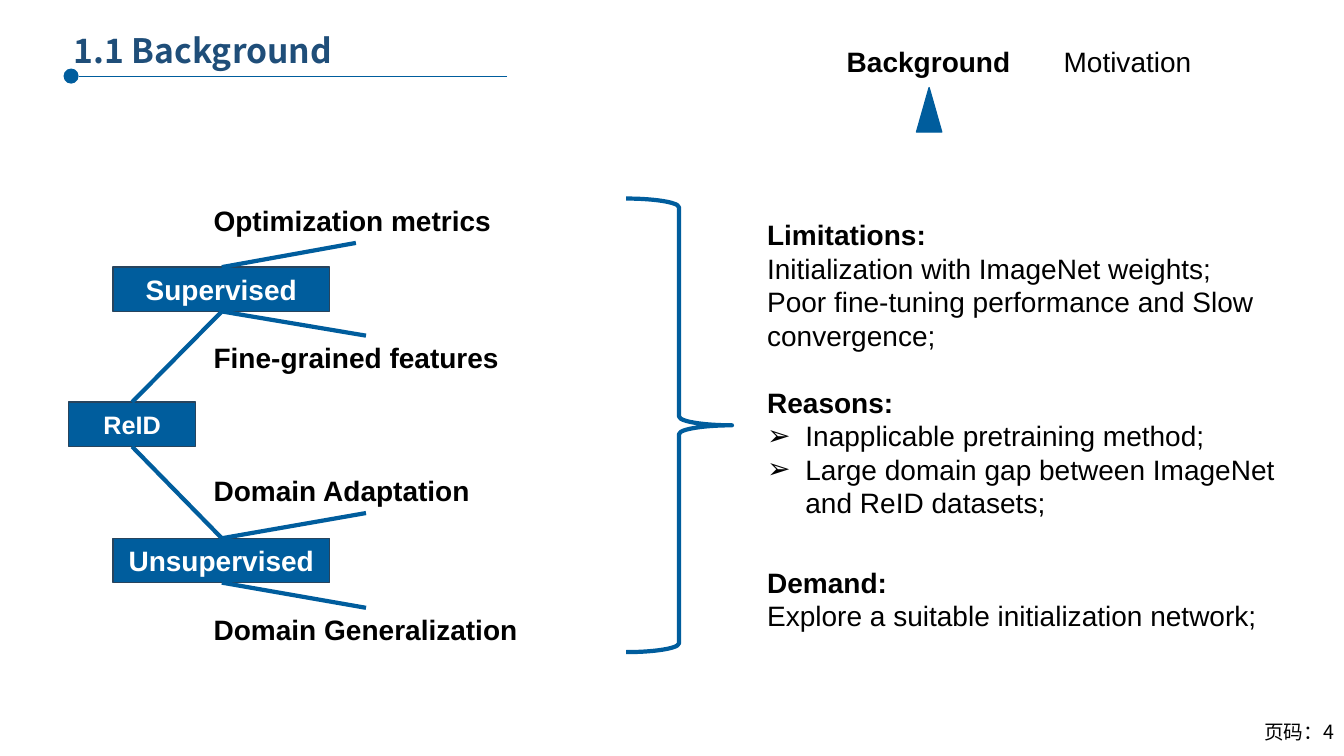
from dataclasses import dataclass

from lxml import etree
from pptx import Presentation
from pptx.dml.color import RGBColor
from pptx.enum.shapes import MSO_CONNECTOR, MSO_SHAPE
from pptx.enum.text import MSO_ANCHOR, PP_ALIGN
from pptx.oxml.ns import qn
from pptx.util import Inches, Pt

STRAIGHT = MSO_CONNECTOR.STRAIGHT
RECTANGLE, OVAL = MSO_SHAPE.RECTANGLE, MSO_SHAPE.OVAL
TRIANGLE, RIGHT_BRACE = MSO_SHAPE.ISOSCELES_TRIANGLE, MSO_SHAPE.RIGHT_BRACE
LEFT, CENTER, RIGHT = PP_ALIGN.LEFT, PP_ALIGN.CENTER, PP_ALIGN.RIGHT
TOP, MIDDLE = MSO_ANCHOR.TOP, MSO_ANCHOR.MIDDLE


@dataclass(frozen=True)
class Theme:
    blue: str = "005D9D"
    border: str = "28445D"
    heading: str = "1F4E79"
    black: str = "000000"
    white: str = "FFFFFF"
    latin: str = "Arial"
    cjk: str = "Noto Sans CJK SC"
    title_size: float = 24
    body_size: float = 20
    root_size: float = 18
    footer_size: float = 14
    rule: float = 0.25
    outline: float = 1
    stroke: float = 3


THEME = Theme()


class SlideBuilder:
    def __init__(self, slide, theme):
        self.slide = slide
        self.theme = theme

    def shape(self, preset, box, fill=None, line=None, width=THEME.outline):
        shape = self.slide.shapes.add_shape(preset, *map(Inches, box))
        shape.shadow.inherit = False
        if fill:
            shape.fill.solid()
            shape.fill.fore_color.rgb = RGBColor.from_string(fill)
        else:
            shape.fill.background()
        if line:
            shape.line.color.rgb = RGBColor.from_string(line)
            shape.line.width = Pt(width)
        else:
            shape.line.fill.background()
        return shape

    def line(self, start, end, width=THEME.stroke):
        connector = self.slide.shapes.add_connector(
            STRAIGHT, *map(Inches, (*start, *end)))
        connector.line.color.rgb = RGBColor.from_string(self.theme.blue)
        connector.line.width = Pt(width)
        etree.SubElement(connector._element.spPr, qn("a:effectLst"))

    def add_words(self, paragraph, text, align=LEFT, **style):
        theme = self.theme
        paragraph.alignment = align
        run = paragraph.add_run()
        run.text = text
        color = style.pop("color", theme.black)
        formats = {"name": theme.latin, "size": theme.body_size,
                   "bold": False, **style}
        formats["size"] = Pt(formats["size"])
        for attribute, value in formats.items():
            setattr(run.font, attribute, value)
        run.font.color.rgb = RGBColor.from_string(color)
        east_asian = etree.SubElement(run.font._element, qn("a:ea"))
        east_asian.set("typeface", formats["name"])

    def text(self, box, text, wrap=True, **style):
        frame = self.slide.shapes.add_textbox(*map(Inches, box)).text_frame
        frame.word_wrap = wrap
        frame.vertical_anchor = TOP
        self.add_words(frame.paragraphs[0], text, **style)
        return frame

    def node(self, box, label, size=THEME.body_size):
        theme = self.theme
        frame = self.shape(RECTANGLE, box, theme.blue, theme.border).text_frame
        frame.vertical_anchor = MIDDLE
        frame.word_wrap = False
        self.add_words(frame.paragraphs[0], label, CENTER,
                       size=size, bold=True, color=theme.white)

    def section(self, box, heading, statements, bulleted=False):
        frame = self.text(box, heading, bold=True)
        for statement in statements:
            paragraph = frame.add_paragraph()
            self.add_words(paragraph, statement)
            if bulleted:
                self.bullet(paragraph)

    def bullet(self, paragraph, indent=0.38):
        properties = paragraph._p.get_or_add_pPr()
        properties.set("marL", str(Inches(indent)))
        properties.set("indent", str(-Inches(indent)))
        etree.SubElement(properties, qn("a:buFont")).set("typeface", "Arial")
        etree.SubElement(properties, qn("a:buChar")).set("char", "➢")


NODE_HEIGHT = 0.44
ROOT_TOP, ROOT_CENTER = 3.99, 1.31
BRANCH_LEFT, BRANCH_WIDTH = 1.12, 2.15
BRANCH_CENTER = 2.2
LABEL_LEFT, LABEL_WIDTH = 2.02, 3.22

# Branch name, its top, and (label, label top, line end) above and below it
BRANCHES = [
    ("Supervised", 2.65,
     ("Optimization metrics", 1.97, (3.53, 2.41)),
     ("Fine-grained features", 3.33, (3.63, 3.33))),
    ("Unsupervised", 5.34,
     ("Domain Adaptation", 4.65, (3.63, 5.09)),
     ("Domain Generalization", 6.03, (3.63, 6.03))),
]

TABS = [("Background", 8.3, 1.84, True), ("Motivation", 10.45, 1.48, False)]

SECTIONS = [
    (2.11, 1.45, "Limitations:",
     ["Initialization with ImageNet weights;",
      "Poor fine-tuning performance and Slow convergence;"], False),
    (3.77, 1.45, "Reasons:",
     ["Inapplicable pretraining method;",
      "Large domain gap between ImageNet and ReID datasets;"], True),
    (5.56, 0.77, "Demand:",
     ["Explore a suitable initialization network;"], False),
]


def add_header(builder):
    theme = builder.theme
    builder.line((5.03, 0.76), (0.78, 0.76), theme.rule)
    builder.shape(OVAL, (0.63, 0.68, 0.15, 0.15), theme.blue)
    title = builder.text((0.63, 0.34, 4.97, 0.41), "1.1 Background",
                         name=theme.cjk, size=theme.title_size,
                         bold=True, color=theme.heading)
    title.margin_top = title.margin_bottom = 0
    title.paragraphs[0].line_spacing = 0.9
    for tab, left, width, current in TABS:
        builder.text((left, 0.39, width, 0.44), tab, wrap=False, bold=current)
    builder.shape(TRIANGLE, (9.09, 0.87, 0.25, 0.44), theme.blue, theme.blue)


def add_tree(builder):
    builder.node((0.68, ROOT_TOP, 1.26, NODE_HEIGHT), "ReID",
                 builder.theme.root_size)
    for branch, top, upper, lower in BRANCHES:
        bottom = top + NODE_HEIGHT
        builder.node((BRANCH_LEFT, top, BRANCH_WIDTH, NODE_HEIGHT), branch)
        if top < ROOT_TOP:
            root_edge, branch_edge = ROOT_TOP, bottom
        else:
            root_edge, branch_edge = ROOT_TOP + NODE_HEIGHT, top
        builder.line((ROOT_CENTER, root_edge), (BRANCH_CENTER, branch_edge))
        for (label, label_top, line_end), edge in ((upper, top), (lower, bottom)):
            builder.text((LABEL_LEFT, label_top, LABEL_WIDTH, NODE_HEIGHT),
                         label, bold=True)
            builder.line(line_end, (BRANCH_CENTER, edge))


def main():
    deck = Presentation()
    deck.slide_width, deck.slide_height = Inches(13.33), Inches(7.5)
    builder = SlideBuilder(deck.slides.add_slide(deck.slide_layouts[6]), THEME)
    add_header(builder)
    add_tree(builder)
    builder.shape(RIGHT_BRACE, (6.21, 1.97, 1.05, 4.5),
                  line=THEME.blue, width=THEME.stroke)
    for top, height, heading, statements, bulleted in SECTIONS:
        builder.section((7.51, top, 5.39, height), heading, statements, bulleted)
    builder.text((10.33, 7.09, 3, 0.4), "页码：4", align=RIGHT,
                 name=THEME.cjk, size=THEME.footer_size)
    deck.save("out.pptx")


if __name__ == "__main__":
    main()
